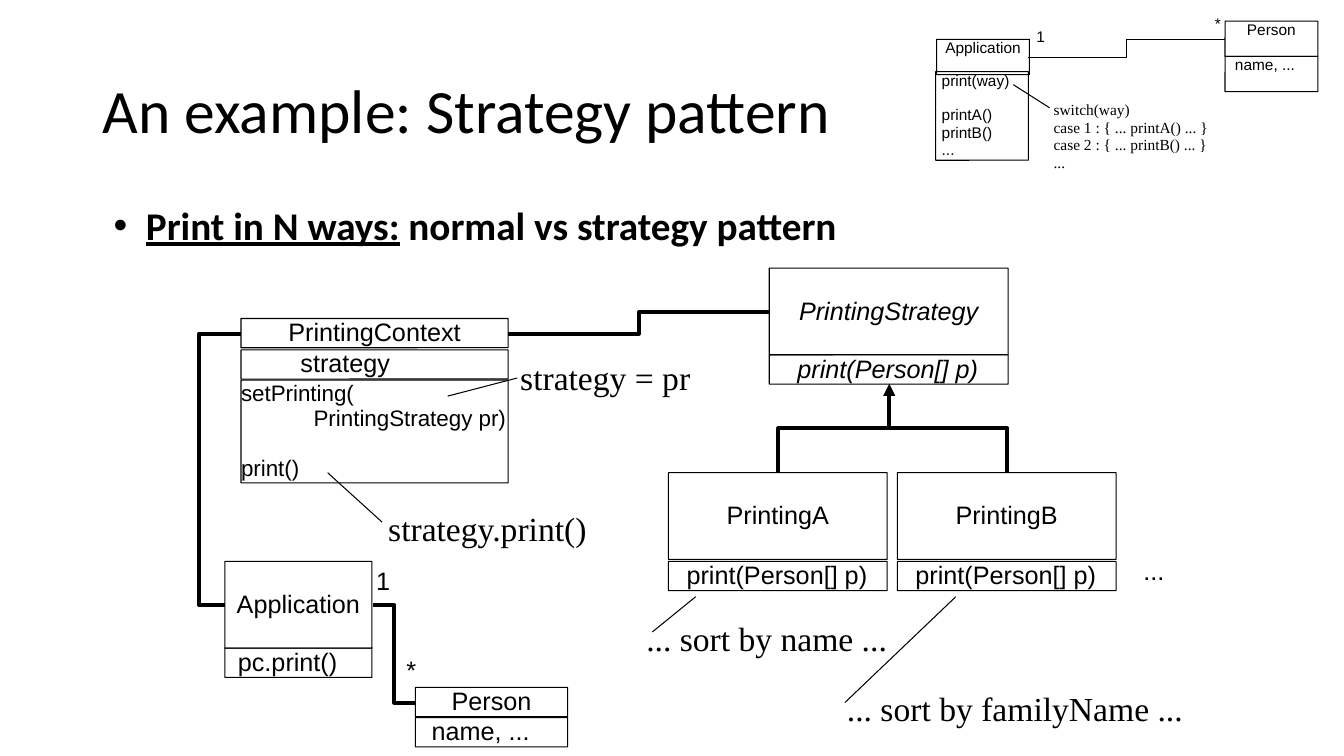
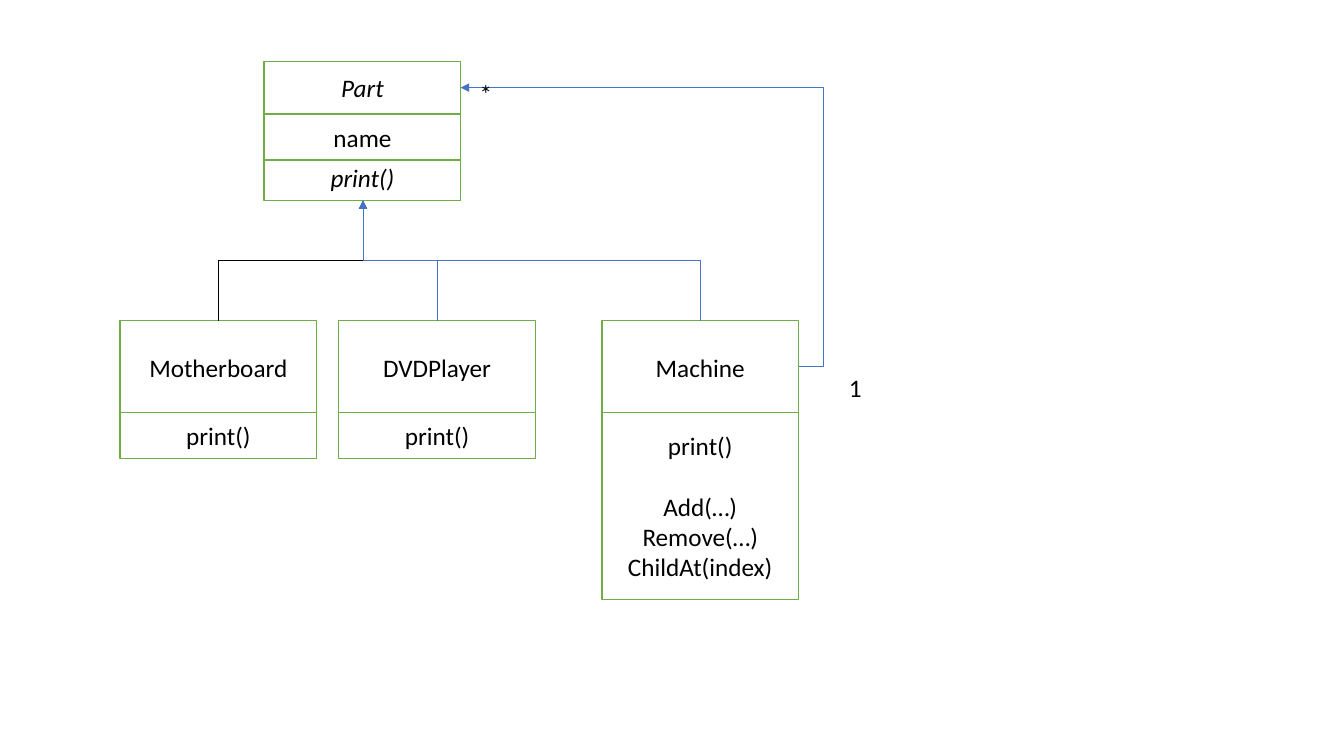
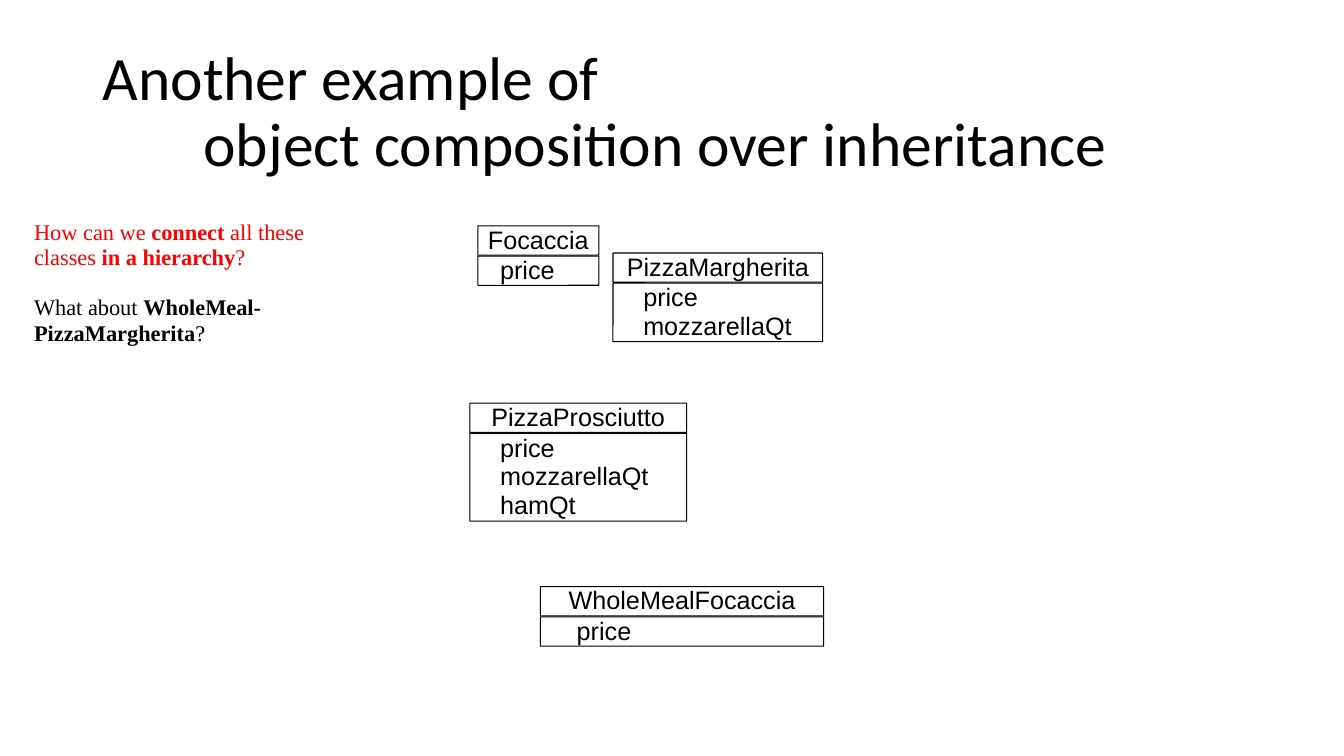
from pptx import Presentation
from pptx.dml.color import RGBColor
from pptx.enum.shapes import MSO_CONNECTOR, MSO_SHAPE
from pptx.enum.text import MSO_ANCHOR, PP_ALIGN
from pptx.oxml.ns import qn
from pptx.util import Inches, Pt
from lxml import etree

ELBOW, STRAIGHT = MSO_CONNECTOR.ELBOW, MSO_CONNECTOR.STRAIGHT
RECT, ROUNDED = MSO_SHAPE.RECTANGLE, MSO_SHAPE.ROUNDED_RECTANGLE
TOP, MIDDLE = MSO_ANCHOR.TOP, MSO_ANCHOR.MIDDLE
LEFT, CENTER = PP_ALIGN.LEFT, PP_ALIGN.CENTER

COLORS = {"black": "000000", "white": "FFFFFF", "red": "FF0000",
          "green": "70AD47", "blue": "4472C4"}
STYLES = {
    "title": dict(font="Calibri", size=44, spacing=0.9, anchor=MIDDLE, inset=(0.1, 0.05)),
    "bullet": dict(font="Calibri", size=28, spacing=0.9, inset=(0.1, 0.05)),
    "head": dict(shape=ROUNDED, align=CENTER, anchor=MIDDLE),
    "rows": dict(shape=ROUNDED, anchor=MIDDLE),
    "label": dict(wrap=False),
    "code": dict(font="Times New Roman", size=24, wrap=False),
    "question": dict(font="Times New Roman", size=16, inset=(0.1, 0.05)),
    "green": dict(shape=RECT, font="Calibri", spacing=1, align=CENTER, anchor=MIDDLE,
                  inset=(0.1, 0.05), fill="white", line="green", weight=1),
    "count": dict(font="Calibri", spacing=1, wrap=False, inset=(0.1, 0.05)),
}
TITLE_AT = (0.92, 0.4, 11.5, 1.45)


def add_text(page, style, at, lines, **changes):
    """Add a text box or outlined cell; a line is a string or a list of (text, marks)."""
    look = dict(shape=None, font="Arial", size=18, spacing=0.95, align=LEFT, anchor=TOP,
                inset=(0, 0), wrap=True, marks="", fill=None, line="black", weight=0.75)
    look.update(STYLES[style])
    look.update(changes)
    frame = [Inches(length) for length in at]
    if look["shape"] is None:
        box = page.shapes.add_textbox(*frame)
    else:
        box = page.shapes.add_shape(look["shape"], *frame)
        box.shadow.inherit = False
        if look["shape"] == ROUNDED:
            box.adjustments[0] = 0.002
        if look["fill"]:
            box.fill.solid()
            box.fill.fore_color.rgb = RGBColor.from_string(COLORS[look["fill"]])
        else:
            box.fill.background()
        box.line.color.rgb = RGBColor.from_string(COLORS[look["line"]])
        box.line.width = Pt(look["weight"])
    text = box.text_frame
    text.word_wrap = look["wrap"]
    text.vertical_anchor = look["anchor"]
    side, edge = look["inset"]
    text.margin_left = Inches(side)
    text.margin_right = 0 if look["align"] == LEFT else Inches(side)
    text.margin_top = text.margin_bottom = Inches(edge)
    for number, line in enumerate(lines):
        para = text.add_paragraph() if number else text.paragraphs[0]
        para.alignment = look["align"]
        para.line_spacing = look["spacing"]
        for words, marks in [(line, look["marks"])] if isinstance(line, str) else line:
            span = para.add_run()
            span.text = words
            span.font.name = look["font"]
            span.font.size = Pt(look["size"])
            span.font.bold = "b" in marks
            span.font.italic = "i" in marks
            span.font.underline = "u" in marks
            color = COLORS["red" if "r" in marks else "black"]
            span.font.color.rgb = RGBColor.from_string(color)
    return box


def add_link(page, start, end, kind=STRAIGHT, color="black", weight=0.75,
             arrow=False, upward=False, bend=None):
    """Add a connector; an upward elbow is laid flat and turned a quarter to the left."""
    (x1, y1), (x2, y2) = start, end
    if upward:
        mid_x, mid_y, rise, run = (x1 + x2) / 2, (y1 + y2) / 2, y1 - y2, x2 - x1
        x1, x2 = mid_x - rise / 2, mid_x + rise / 2
        y1, y2 = mid_y - run / 2, mid_y + run / 2
    link = page.shapes.add_connector(kind, Inches(x1), Inches(y1), Inches(x2), Inches(y2))
    link.line.color.rgb = RGBColor.from_string(COLORS[color])
    link.line.width = Pt(weight)
    properties = link._element.spPr
    if upward:
        properties.find(qn("a:xfrm")).set("rot", "16200000")
    if bend is not None:
        guides = properties.find(qn("a:prstGeom")).find(qn("a:avLst"))
        etree.SubElement(guides, qn("a:gd"), name="adj1", fmla=f"val {round(bend * 100000)}")
    if arrow:
        etree.SubElement(properties.find(qn("a:ln")), qn("a:tailEnd"), type="triangle")
    etree.SubElement(properties, qn("a:effectLst"))


deck = Presentation()
deck.slide_width, deck.slide_height = Inches(13.33), Inches(7.5)
blank = deck.slide_layouts[6]

# Slide 1: strategy pattern
page = deck.slides.add_slide(blank)
add_text(page, "title", TITLE_AT, ["An example: Strategy pattern"])
bullet = add_text(page, "bullet", (0.92, 2, 11.5, 0.88),
                  [[("Print in N ways:", "bu"), (" normal vs strategy pattern", "b")]])
para = bullet.text_frame.paragraphs[0]
para.space_before = Pt(10)
settings = para._p.get_or_add_pPr()
settings.set("marL", str(Inches(0.43)))
settings.set("indent", str(Inches(-0.32)))
etree.SubElement(settings, qn("a:buFont"), typeface="Arial")
etree.SubElement(settings, qn("a:buChar"), char="•")

# Small diagram without the pattern
add_text(page, "head", (9.29, 0.39, 0.92, 0.35), ["Application"], size=11, anchor=TOP)
methods = add_text(page, "rows", (9.28, 0.71, 0.92, 0.88),
                   ["print(way)", "printA()", "printB()", "..."], size=11, inset=(0.06, 0))
methods.text_frame.paragraphs[1].space_before = Pt(12)
add_text(page, "head", (12.15, 0.21, 0.92, 0.35), ["Person"], size=11, anchor=TOP)
add_text(page, "rows", (12.15, 0.56, 0.92, 0.35), ["name, ..."], size=11, anchor=TOP,
         inset=(0.1, 0))
add_text(page, "label", (10.28, 0.28, 0.09, 0.18), ["1"], size=11)
add_text(page, "label", (12.05, 0.15, 0.06, 0.18), ["*"], size=11)
add_text(page, "code", (10.45, 1.01, 1.57, 0.7),
         ["switch(way)", "case 1 : { ... printA() ... }", "case 2 : { ... printB() ... }",
          "..."], size=11)
add_link(page, (10.05, 0.84), (10.41, 1.07))
add_link(page, (10.2, 0.57), (12.15, 0.39), ELBOW)

# Classes: name, method, left, top, width, head height, row top, row inset, marks
for name, method, left, top, width, height, row_top, inset, marks in [
        ("PrintingStrategy", "print(Person[] p)", 7.63, 2.66, 2.37, 0.86, 3.52, 0.28, "i"),
        ("PrintingA", "print(Person[] p)", 6.63, 4.69, 2.17, 0.86, 5.57, 0.18, ""),
        ("PrintingB", "print(Person[] p)", 8.9, 4.69, 2.17, 0.86, 5.57, 0.18, ""),
        ("Application", "pc.print()", 2.23, 5.57, 1.46, 0.86, 6.43, 0.13, ""),
        ("Person", "name, ...", 4.12, 6.82, 1.51, 0.29, 7.12, 0.16, ""),
        ("PrintingContext", "strategy", 2.39, 3.16, 2.65, 0.29, 3.47, 0.59, "")]:
    add_text(page, "head", (left, top, width, height), [name], marks=marks)
    add_text(page, "rows", (left, row_top, width, 0.29), [method], inset=(inset, 0), marks=marks)
methods = add_text(page, "rows", (2.39, 3.77, 2.65, 1.02),
                   ["setPrinting(", "PrintingStrategy pr)", "print()"], size=16)
methods.text_frame.word_wrap = False
methods.text_frame.paragraphs[1]._p.get_or_add_pPr().set("marL", str(Inches(0.72)))
methods.text_frame.paragraphs[2].space_before = Pt(17.5)

for left, top, width, words in [(3.73, 5.63, 0.14, "1"), (4.03, 6.51, 0.1, "*"),
                                (11.34, 5.53, 0.23, "...")]:
    add_text(page, "label", (left, top, width, 0.29), [words])
for left, top, width, words in [(6.41, 6.16, 2.41, "... sort by name ..."),
                                (8.4, 6.85, 3.35, "... sort by familyName ..."),
                                (3.85, 5.07, 1.99, "strategy.print()"),
                                (5.16, 3.57, 1.7, "strategy = pr")]:
    add_text(page, "code", (left, top, width, 0.38), [words])
for start, end in [((6.9, 5.92), (6.47, 6.27)), ((9.48, 5.92), (8.38, 6.97)),
                   ((3.25, 4.69), (3.79, 5.18)), ((4.44, 3.93), (5.13, 3.75))]:
    add_link(page, start, end)
add_link(page, (5.04, 3.31), (7.63, 3.1), ELBOW, weight=2.83)
add_link(page, (2.39, 3.31), (2.23, 6), ELBOW, weight=2.83, bend=2.6)
add_link(page, (3.7, 6), (4.12, 6.97), ELBOW, weight=2.83)
for child_x in (7.72, 9.99):
    add_link(page, (child_x, 4.69), (8.82, 3.81), ELBOW, weight=2.83, arrow=True, upward=True)

# Slide 2: composite of parts
page = deck.slides.add_slide(blank)
for top, height, words, marks in [(0.61, 0.52, "Part", "i"), (1.53, 0.46, "print()", "i"),
                                  (1.13, 0.46, "name", "")]:
    add_text(page, "green", (2.62, top, 1.95, height), [words], marks=marks)
for left, name, height, rows, color in [
        (1.19, "Motherboard", 0.46, ["print()"], "black"),
        (3.36, "DVDPlayer", 0.46, ["print()"], "blue"),
        (5.97, "Machine", 1.86, ["print()", "Add(…)", "Remove(…)", "ChildAt(index)"], "blue")]:
    add_text(page, "green", (left, 3.18, 1.95, 0.92), [name])
    methods = add_text(page, "green", (left, 4.09, 1.95, height), rows)
    if len(rows) > 1:
        methods.text_frame.paragraphs[1].space_before = Pt(22)
    add_link(page, (left + 0.975, 3.18), (3.6, 1.99), ELBOW, color, 0.5,
             arrow=True, upward=True)
add_link(page, (7.92, 3.64), (4.57, 0.87), ELBOW, "blue", 0.5, arrow=True, bend=-0.075)
add_text(page, "count", (8.32, 3.64, 0.33, 0.4), ["1"])
add_text(page, "count", (4.66, 0.73, 0.33, 0.4), ["*"])

# Slide 3: object composition
page = deck.slides.add_slide(blank)
title = add_text(page, "title", TITLE_AT,
                 ["Another example of", "object composition over inheritance"])
title.text_frame.paragraphs[1]._p.get_or_add_pPr().set("marL", str(Inches(1)))
question = add_text(page, "question", (0.24, 2.13, 3.37, 1.38), [
    [("How can we ", "r"), ("connect ", "rb"), ("all these classes ", "r"),
     ("in a hierarchy", "rb"), ("?", "r")],
    [("What about ", ""), ("WholeMeal-", "b")],
    [("PizzaMargherita", "b"), ("?", "")]])
question.text_frame.paragraphs[1].space_before = Pt(17.5)
for left, top, width, name, inset, fields in [
        (4.74, 2.24, 1.2, "Focaccia", 0.22, ["price"]),
        (6.08, 2.51, 2.08, "PizzaMargherita", 0.3, ["price", "mozzarellaQt"]),
        (4.66, 4, 2.15, "PizzaProsciutto", 0.3, ["price", "mozzarellaQt", "hamQt"]),
        (5.36, 5.82, 2.81, "WholeMealFocaccia", 0.36, ["price"])]:
    add_text(page, "head", (left, top, width, 0.29), [name])
    add_text(page, "rows", (left, top + 0.3, width, 0.29 * len(fields)), fields,
             inset=(inset, 0))

deck.save("out.pptx")
